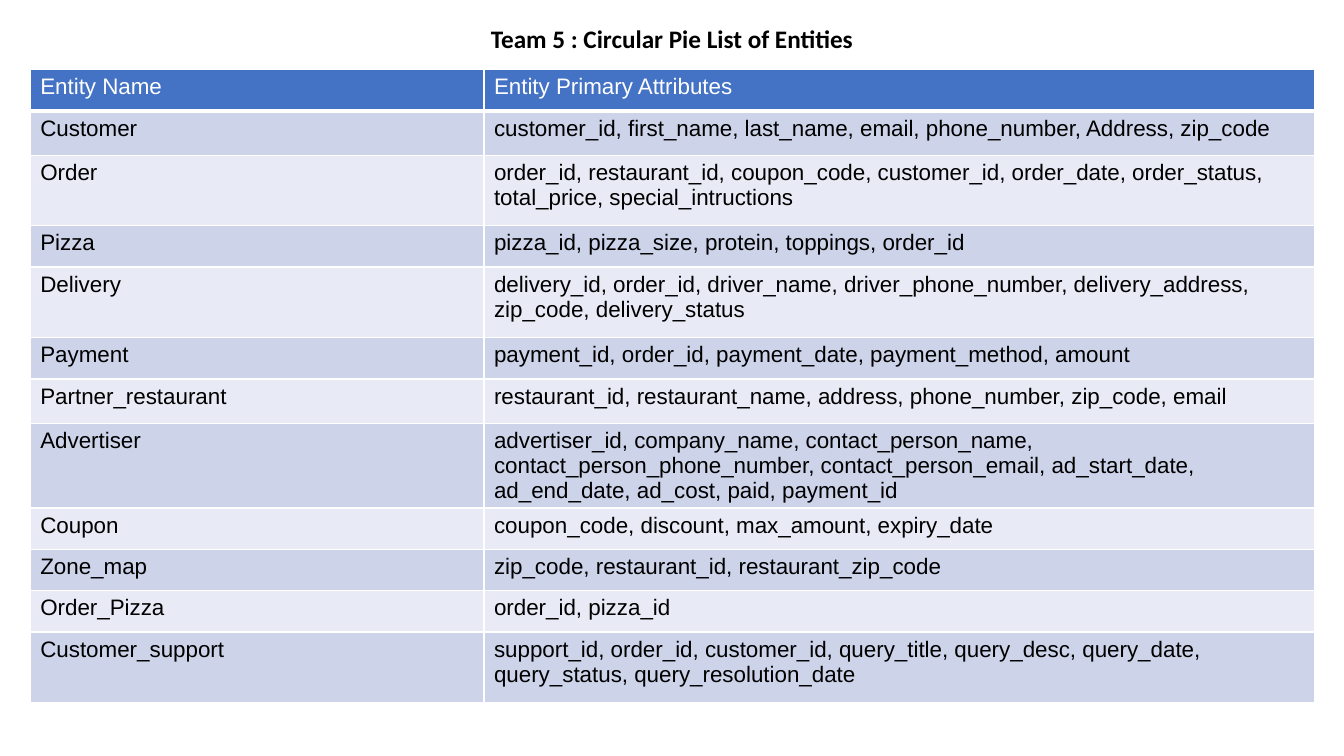
from dataclasses import dataclass

from lxml.etree import SubElement
from pptx import Presentation
from pptx.dml.color import RGBColor
from pptx.enum.text import MSO_ANCHOR, MSO_AUTO_SIZE, PP_ALIGN
from pptx.oxml.ns import qn
from pptx.slide import Slide
from pptx.table import _Cell as Cell
from pptx.text.text import _Paragraph as Paragraph
from pptx.util import Inches, Pt

BLACK = RGBColor(0x00, 0x00, 0x00)
WHITE = RGBColor(0xFF, 0xFF, 0xFF)
HEADER_BLUE = RGBColor(0x44, 0x72, 0xC4)
BAND_DARK = RGBColor(0xCD, 0xD4, 0xEA)
BAND_LIGHT = RGBColor(0xE8, 0xEB, 0xF5)

SHORT, MEDIUM, TALL = 0.41, 0.44, 0.7
COLUMN_WIDTHS = (4.5, 8.24)
THIN, THICK = 1, 3


@dataclass(frozen=True)
class Entity:
    name: str
    attributes: str
    height: float = SHORT


HEADER = Entity("Entity Name", "Entity Primary Attributes")
ENTITIES = (
    Entity("Customer", "customer_id, first_name, last_name, email, phone_number, Address, zip_code", MEDIUM),
    Entity("Order", "order_id, restaurant_id, coupon_code, customer_id, order_date, order_status, "
           "total_price, special_intructions", TALL),
    Entity("Pizza", "pizza_id, pizza_size, protein, toppings, order_id"),
    Entity("Delivery", "delivery_id, order_id, driver_name, driver_phone_number, delivery_address, "
           "zip_code, delivery_status", TALL),
    Entity("Payment", "payment_id, order_id, payment_date, payment_method, amount"),
    Entity("Partner_restaurant", "restaurant_id, restaurant_name, address, phone_number, zip_code, email", MEDIUM),
    Entity("Advertiser", "advertiser_id, company_name, contact_person_name, contact_person_phone_number, "
           "contact_person_email, ad_start_date, ad_end_date, ad_cost, paid, payment_id", TALL),
    Entity("Coupon", "coupon_code, discount, max_amount, expiry_date"),
    Entity("Zone_map", "zip_code, restaurant_id, restaurant_zip_code"),
    Entity("Order_Pizza", "order_id, pizza_id"),
    Entity("Customer_support", "support_id, order_id, customer_id, query_title, query_desc, query_date, "
           "query_status, query_resolution_date", TALL),
)


def add_run(paragraph: Paragraph, text: str, font_name: str, size: int, color: RGBColor, bold: bool) -> None:
    run = paragraph.add_run()
    run.text = text
    run.font.name = font_name
    run.font.size = Pt(size)
    run.font.bold = bold
    run.font.color.rgb = color


def set_borders(cell: Cell, top: int, bottom: int) -> None:
    properties = cell._tc.get_or_add_tcPr()
    edges = (("a:lnL", THIN), ("a:lnR", THIN), ("a:lnT", top), ("a:lnB", bottom))
    for position, (tag, width) in enumerate(edges):
        border = SubElement(properties, qn(tag), w=str(Pt(width)))
        SubElement(SubElement(border, qn("a:solidFill")), qn("a:srgbClr"), val=str(WHITE))
        properties.insert(position, border)


def add_title(slide: Slide) -> None:
    title = slide.shapes.title
    title.left, title.top = Inches(4.69), Inches(0.2)
    title.width, title.height = Inches(3.95), Inches(0.37)
    frame = title.text_frame
    frame.auto_size = MSO_AUTO_SIZE.NONE
    frame.word_wrap = True
    frame.vertical_anchor = MSO_ANCHOR.MIDDLE
    heading = frame.paragraphs[0]
    heading.alignment = PP_ALIGN.CENTER
    add_run(heading, "Team 5 : Circular Pie List of Entities", "Calibri", 18, BLACK, True)


def add_entity_table(slide: Slide) -> None:
    rows = (HEADER, *ENTITIES)
    table = slide.shapes.add_table(
        len(rows), len(COLUMN_WIDTHS), Inches(0.3), Inches(0.69),
        Inches(sum(COLUMN_WIDTHS)), Inches(sum(row.height for row in rows)),
    ).table
    for column, width in zip(table.columns, COLUMN_WIDTHS):
        column.width = Inches(width)
    for index, entity in enumerate(rows):
        table.rows[index].height = Inches(entity.height)
        is_header = index == 0
        band = HEADER_BLUE if is_header else BAND_DARK if index % 2 else BAND_LIGHT
        for cell, text in zip(table.rows[index].cells, (entity.name, entity.attributes)):
            cell.fill.solid()
            cell.fill.fore_color.rgb = band
            set_borders(cell, THICK if index == 1 else THIN, THICK if is_header else THIN)
            add_run(cell.text_frame.paragraphs[0], text, "Arial", 16, WHITE if is_header else BLACK, False)


def main() -> None:
    deck = Presentation()
    deck.slide_width, deck.slide_height = Inches(13.33), Inches(7.5)
    slide = deck.slides.add_slide(deck.slide_layouts.get_by_name("Title Only"))
    add_title(slide)
    add_entity_table(slide)
    deck.save("out.pptx")


if __name__ == "__main__":
    main()
